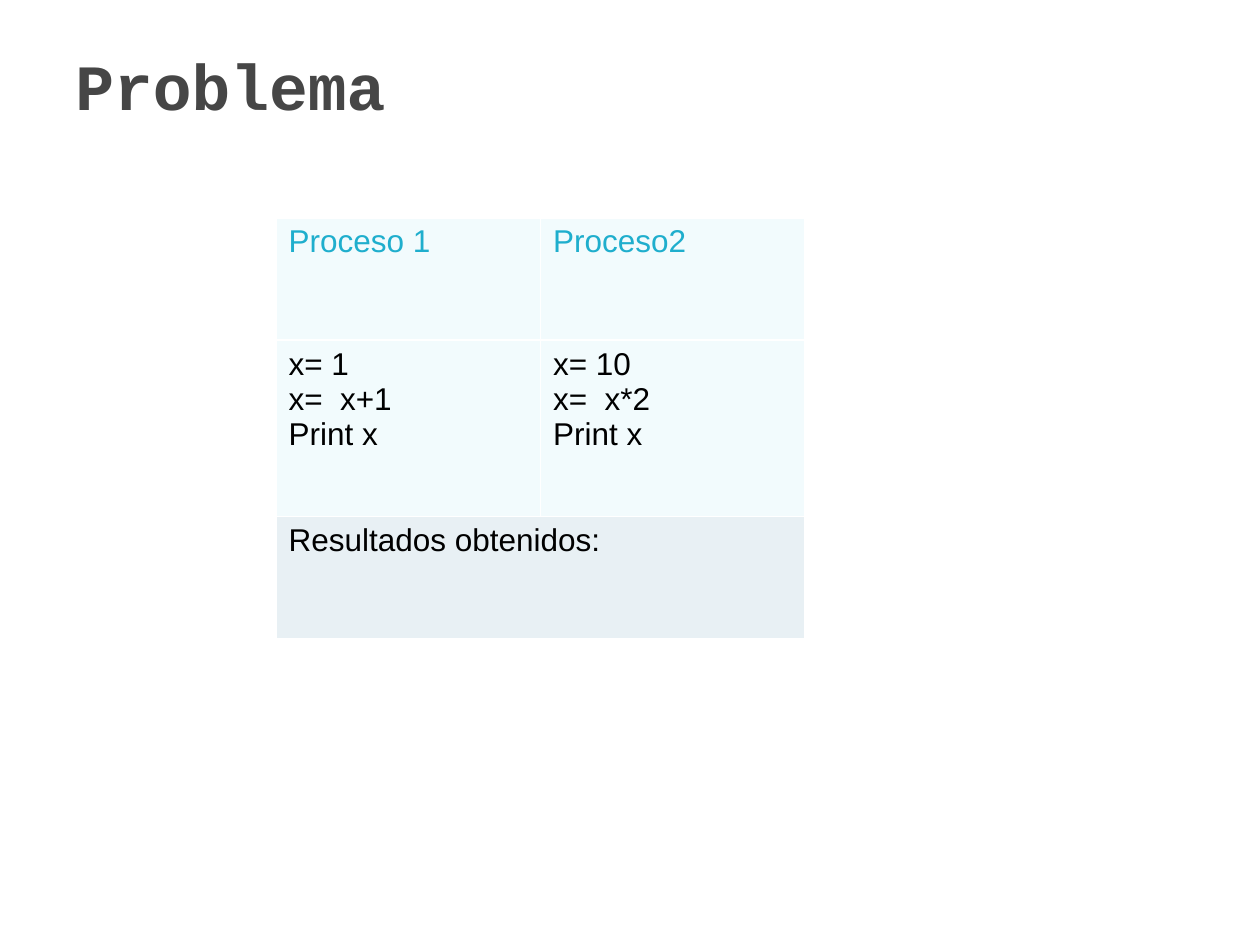
from lxml.etree import SubElement
from pptx import Presentation
from pptx.dml.color import RGBColor
from pptx.enum.text import MSO_ANCHOR
from pptx.oxml.ns import qn
from pptx.util import Inches, Pt

COLORS = {
    "title": "464646",
    "heading": "1FAECD",
    "text": "000000",
    "process": "F2FBFD",
    "result": "E8F0F4",
    "border": "FFFFFF",
}
ROWS = [
    (0.97, "heading", "process", ["Proceso 1", "Proceso2"]),
    (1.4, "text", "process", ["x= 1\nx=  x+1\nPrint x", "x= 10\nx=  x*2\nPrint x"]),
    (0.97, "text", "result", ["Resultados obtenidos:", ""]),
]


def style_text(frame, font_name, size, color, bold=False):
    """Format every run in a text frame."""
    for para in frame.paragraphs:
        for span in para.runs:
            span.font.name = font_name
            span.font.size = Pt(size)
            span.font.bold = bold
            span.font.color.rgb = RGBColor.from_string(COLORS[color])


def add_borders(cell):
    """Draw a thin border on the four sides of a cell."""
    properties = cell._tc.get_or_add_tcPr()
    for position, side in enumerate(("lnL", "lnR", "lnT", "lnB")):
        line = properties.makeelement(qn(f"a:{side}"), {"w": str(Pt(1))})
        fill = SubElement(line, qn("a:solidFill"))
        SubElement(fill, qn("a:srgbClr"), val=COLORS["border"])
        properties.insert(position, line)


def add_title(page, left, top, width, height):
    """Place the slide title in the given box."""
    box = page.shapes.add_textbox(left, top, width, height)
    frame = box.text_frame
    frame.word_wrap = True
    frame.vertical_anchor = MSO_ANCHOR.MIDDLE
    frame.text = "Problema"
    style_text(frame, "Courier New", 36.9, "title", bold=True)


def add_process_table(page, left, top, width, height):
    """Place the two processes above a merged row for their results."""
    table = page.shapes.add_table(len(ROWS), 2, left, top, width, height).table
    for row, (row_height, color, fill, texts) in enumerate(ROWS):
        table.rows[row].height = Inches(row_height)
        for column, text in enumerate(texts):
            cell = table.cell(row, column)
            cell.text_frame.text = text
            cell.fill.solid()
            cell.fill.fore_color.rgb = RGBColor.from_string(COLORS[fill])
            style_text(cell.text_frame, "Arial", 18, color)
            add_borders(cell)
    last = len(ROWS) - 1
    table.cell(last, 0).merge(table.cell(last, 1))


def main():
    """Build and save the slide."""
    deck = Presentation()
    deck.slide_width, deck.slide_height = Inches(10), Inches(7.5)
    page = deck.slides.add_slide(deck.slide_layouts[6])
    add_process_table(page, Inches(2.19), Inches(1.73), Inches(4.2), Inches(3.34))
    add_title(page, Inches(0.5), Inches(0.3), Inches(8.17), Inches(0.75))
    deck.save("out.pptx")


if __name__ == "__main__":
    main()
